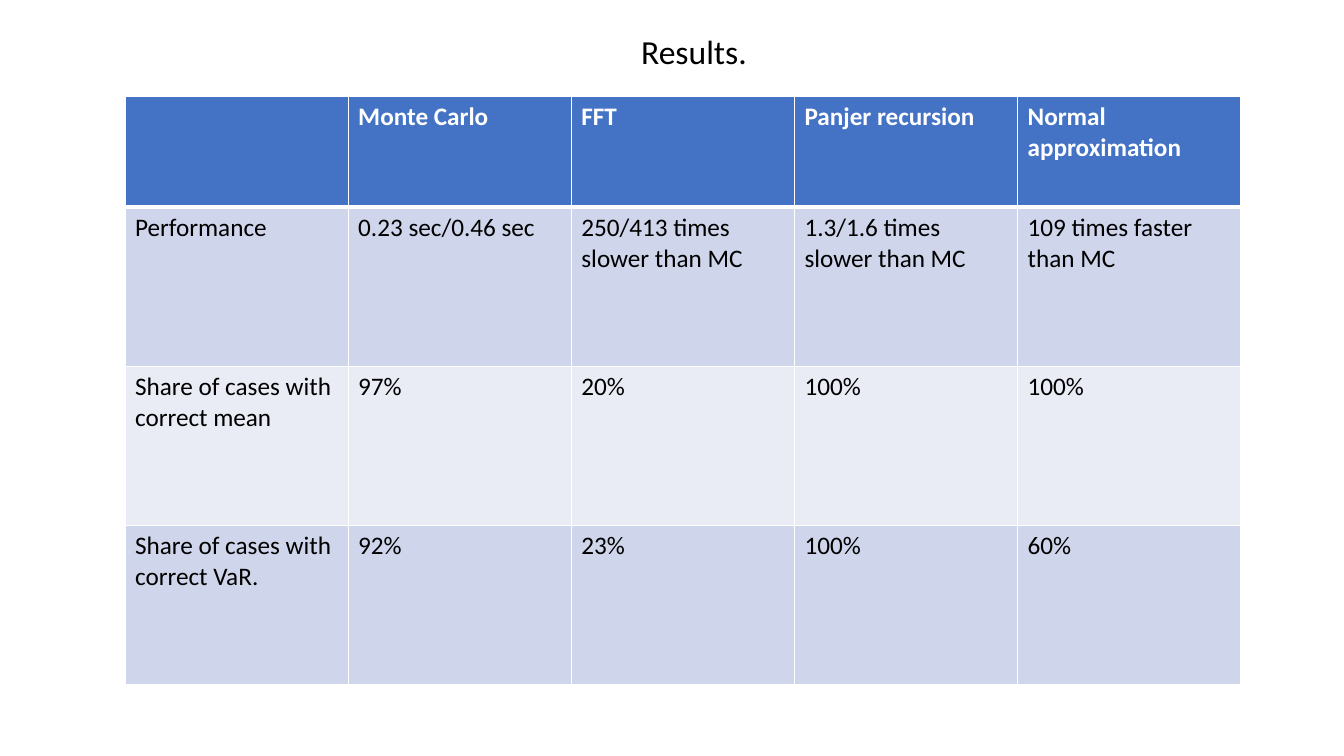
from lxml import etree
from pptx import Presentation
from pptx.dml.color import RGBColor
from pptx.enum.text import MSO_ANCHOR, PP_ALIGN
from pptx.oxml.ns import qn
from pptx.util import Pt

CENTER = PP_ALIGN.CENTER
TOP = MSO_ANCHOR.TOP
FONT = "Calibri"
WHITE, BLACK, HEADER_BLUE = "FFFFFF", "000000", "4472C4"
BANDS = ["E9EBF5", "CFD5EA"]
COLUMN_WIDTH = 159.4
ROW_HEIGHTS = [79, 113.6, 113.6, 113.6]
RESULTS = [
    ["", "Monte Carlo", "FFT", "Panjer recursion", "Normal approximation"],
    ["Performance", "0.23 sec/0.46 sec", "250/413 times slower than MC",
     "1.3/1.6 times slower than MC", "109 times faster than MC"],
    ["Share of cases with correct mean", "97%", "20%", "100%", "100%"],
    ["Share of cases with correct VaR.", "92%", "23%", "100%", "60%"],
]


def style_font(font, size, color, bold=False):
    font.name = FONT
    font.size = Pt(size)
    font.bold = bold
    font.color.rgb = RGBColor.from_string(color)


def add_border(cell, side, width):
    properties = cell._tc.get_or_add_tcPr()
    line = etree.SubElement(properties, qn(f"a:ln{side}"), w=str(Pt(width)))
    fill = etree.SubElement(line, qn("a:solidFill"))
    etree.SubElement(fill, qn("a:srgbClr"), val=WHITE)


prs = Presentation()
prs.slide_width, prs.slide_height = Pt(960), Pt(540)
slide = prs.slides.add_slide(prs.slide_layouts[5])

title = slide.shapes.title
title.left, title.top = Pt(73.5), Pt(18.7)
title.width, title.height = Pt(844.5), Pt(94.3)
title.text_frame.text = "Results."
title.text_frame.vertical_anchor = TOP
heading = title.text_frame.paragraphs[0]
heading.alignment = CENTER
style_font(heading.font, 24, BLACK)

results = slide.shapes.add_table(
    len(RESULTS), len(RESULTS[0]), Pt(89.3), Pt(69.1),
    Pt(COLUMN_WIDTH * len(RESULTS[0])), Pt(sum(ROW_HEIGHTS))).table
for column in results.columns:
    column.width = Pt(COLUMN_WIDTH)

for r, (height, entries) in enumerate(zip(ROW_HEIGHTS, RESULTS)):
    results.rows[r].height = Pt(height)
    is_header = r == 0
    for c, entry in enumerate(entries):
        cell = results.cell(r, c)
        cell.text = entry
        style_font(cell.text_frame.paragraphs[0].font, 18,
                   WHITE if is_header else BLACK, is_header)
        for side in "LRTB":
            under_header = (r, side) in [(0, "B"), (1, "T")]
            add_border(cell, side, 3 if under_header else 1)
        cell.fill.solid()
        cell.fill.fore_color.rgb = RGBColor.from_string(
            HEADER_BLUE if is_header else BANDS[r % 2])

prs.save("out.pptx")
